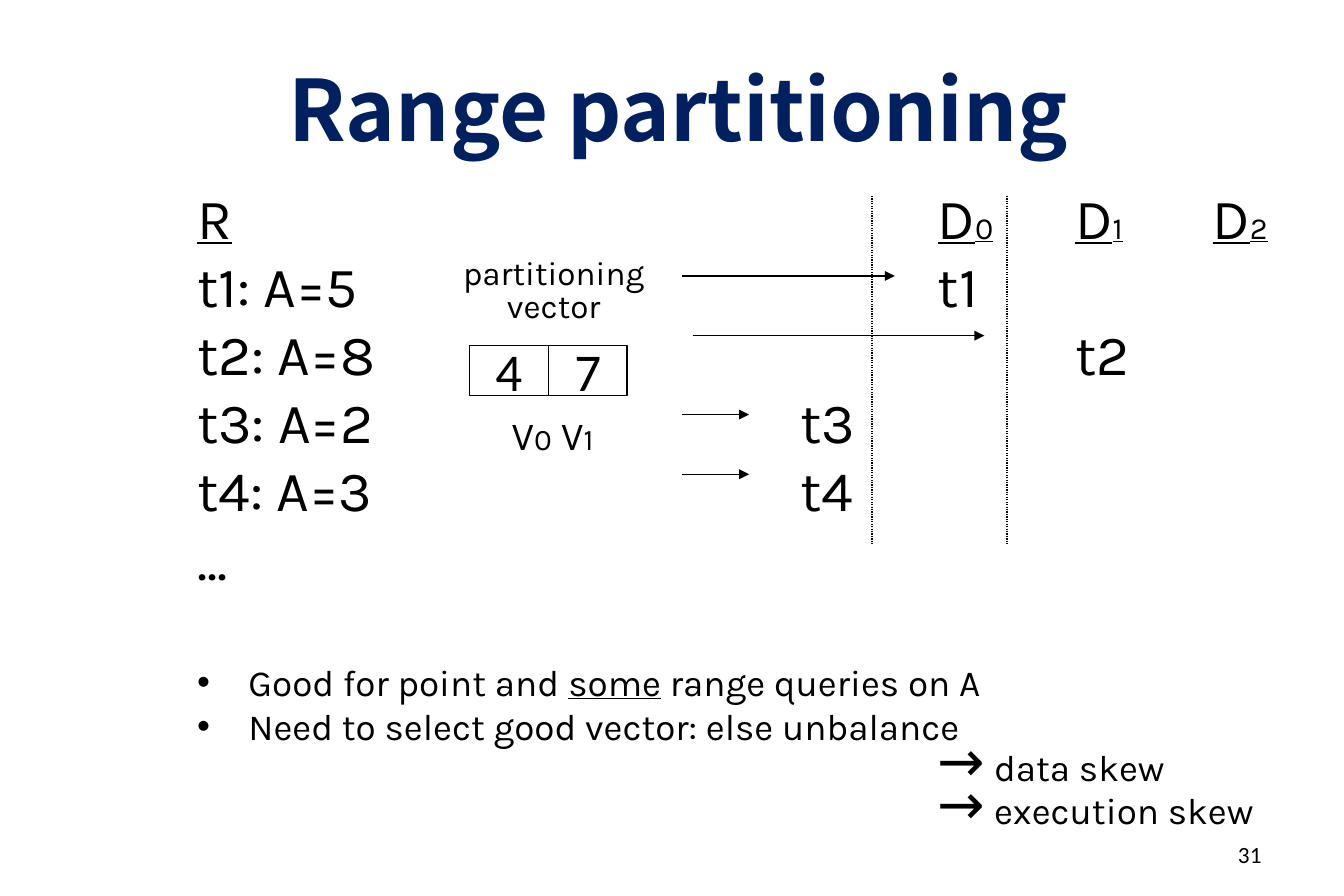
from lxml.etree import SubElement
from pptx import Presentation
from pptx.dml.color import RGBColor
from pptx.enum.dml import MSO_LINE
from pptx.enum.shapes import MSO_CONNECTOR, MSO_SHAPE
from pptx.enum.text import MSO_ANCHOR, PP_ALIGN
from pptx.oxml.ns import qn
from pptx.util import Inches, Pt

COLORS = {"ink": "000000", "title": "002060", "paper": "FFFFFF"}
BIG, SMALL, SUBSCRIPT = 34.2, 22.2, 18.5
BODY_LEFT, BODY_TOP, ROW_HEIGHT = 1.53, 1.47, 0.57
HANGING, DISK_INDENT, DISK_STEP = 0.43, 6.2, 1.15

# Each run is (text, size, underlined)
RELATION = [
    [("R", BIG, True)],
    [("t1: A=5", BIG, False)],
    [("t2: A=8", BIG, False)],
    [("t3: A=2", BIG, False)],
    [("t4: A=3", BIG, False)],
    [("...", BIG, False)],
]
REMARKS = [
    [("Good for point and ", SMALL, False), ("some", SMALL, True),
     (" range queries on A", SMALL, False)],
    [("Need to select good vector: else unbalance", SMALL, False)],
]
# (text, line spacing, space before)
SKEWS = [(" data skew", 0.4, 7), (" execution skew", 0.7, 0)]
# (row, column, runs); column 0 stands under the first disk heading
PLACEMENTS = [
    (0, 0, [("D", BIG, True), ("0", SUBSCRIPT, True)]),
    (0, 1, [("D", BIG, True), ("1", SUBSCRIPT, True)]),
    (0, 2, [("D", BIG, True), ("2", SUBSCRIPT, True)]),
    (1, 0, [("t1", BIG, False)]),
    (2, 1, [("t2", BIG, False)]),
    (3, -1, [("t3", BIG, False)]),
    (4, -1, [("t4", BIG, False)]),
]
VECTOR = ["4", "7"]
VECTOR_LABELS = [("V", 24, False), ("0", 18, False), (" V", 24, False), ("1", 18, False)]
DIVIDERS = [7.3, 8.43]
ARROWS = [(5.71, 7.49, 2.31), (5.8, 8.24, 2.81), (5.71, 6.27, 3.47), (5.71, 6.27, 3.97)]

deck = Presentation()
deck.slide_width, deck.slide_height = Inches(11.25), Inches(7.5)
page = deck.slides.add_slide(deck.slide_layouts[6])


def color(name):
    return RGBColor.from_string(COLORS[name])


def add_box(left, top, width, height, anchor=MSO_ANCHOR.MIDDLE, inset=(0.1, 0.05), wrap=True):
    box = page.shapes.add_textbox(Inches(left), Inches(top), Inches(width), Inches(height))
    frame = box.text_frame
    frame.word_wrap = wrap
    frame.vertical_anchor = anchor
    frame.margin_left = frame.margin_right = Inches(inset[0])
    frame.margin_top = frame.margin_bottom = Inches(inset[1])
    return frame


def style(para, size=None, name="Karla", ink="ink", align=None):
    para.alignment = align
    para.font.name = name
    para.font.color.rgb = color(ink)
    if size:
        para.font.size = Pt(size)


def add_runs(para, runs):
    for text, size, underlined in runs:
        span = para.add_run()
        span.text = text
        span.font.size = Pt(size)
        if underlined:
            span.font.underline = True


def add_body_paragraph(frame, runs, margin=0, bullet=False):
    para = frame.add_paragraph() if frame.paragraphs[0].runs else frame.paragraphs[0]
    properties = para._p.get_or_add_pPr()
    properties.set("marL", str(Inches(margin)))
    if bullet:
        properties.set("indent", str(-Inches(margin)))
        SubElement(properties, qn("a:buFont"), typeface="Arial")
        SubElement(properties, qn("a:buChar"), char="•")
    style(para)
    add_runs(para, runs)
    return para


def add_line(x1, y1, x2, y2):
    line = page.shapes.add_connector(
        MSO_CONNECTOR.STRAIGHT, Inches(x1), Inches(y1), Inches(x2), Inches(y2))
    line.line.color.rgb = color("ink")
    line.line.width = Pt(0.75)
    SubElement(line._element.spPr, qn("a:effectLst"))
    return line


title = add_box(0.9, 0.41, 9.56, 0.98, inset=(0.12, 0.06)).paragraphs[0]
title.text = "Range partitioning"
style(title, 51, "Noto Sans CJK SC", "title", PP_ALIGN.CENTER)
title.font.bold = True

body = add_box(BODY_LEFT, BODY_TOP, 9.56, 5.31, MSO_ANCHOR.TOP, (0.12, 0.06))
for row in RELATION:
    add_body_paragraph(body, row)
for number, remark in enumerate(REMARKS):
    para = add_body_paragraph(body, remark, HANGING, bullet=True)
    if number == 0:
        para.space_before = Pt(41)
for text, spacing, before in SKEWS:
    para = add_body_paragraph(body, [("→", BIG, False), (text, SMALL, False)], DISK_INDENT)
    para.line_spacing = spacing
    para.space_before = Pt(before)

for row, column, runs in PLACEMENTS:
    left = BODY_LEFT + DISK_INDENT + column * DISK_STEP
    frame = add_box(left, BODY_TOP + row * ROW_HEIGHT, 0.9, 0.69,
                    MSO_ANCHOR.TOP, (0.12, 0.06), wrap=False)
    add_body_paragraph(frame, runs).alignment = PP_ALIGN.LEFT

for x in DIVIDERS:
    add_line(x, 1.64, x, 4.56).line.dash_style = MSO_LINE.ROUND_DOT

for index, value in enumerate(VECTOR):
    cell = page.shapes.add_shape(
        MSO_SHAPE.RECTANGLE, Inches(3.93 + index * 0.66), Inches(2.89), Inches(0.66), Inches(0.42))
    cell.shadow.inherit = False
    cell.fill.solid()
    cell.fill.fore_color.rgb = color("paper")
    cell.line.color.rgb = color("ink")
    cell.line.width = Pt(0.75)
    cell.text_frame.word_wrap = False
    cell.text_frame.vertical_anchor = MSO_ANCHOR.MIDDLE
    cell.text_frame.text = value
    style(cell.text_frame.paragraphs[0], 32, "Calibri", align=PP_ALIGN.CENTER)

caption = add_box(3.74, 2.22, 1.79, 0.54)
caption.text = "partitioning\nvector"
for para in caption.paragraphs:
    style(para, 20, align=PP_ALIGN.CENTER)
    para.line_spacing = 0.4
caption.paragraphs[1].space_before = Pt(10)

labels = add_box(4.08, 3.39, 1.09, 0.5, wrap=False).paragraphs[0]
style(labels, align=PP_ALIGN.CENTER)
add_runs(labels, VECTOR_LABELS)

for start, end, y in ARROWS:
    arrow = add_line(start, y, end, y)
    SubElement(arrow.line._get_or_add_ln(), qn("a:tailEnd"), type="triangle")

number = add_box(8.06, 6.95, 2.62, 0.4, inset=(0.12, 0.06)).paragraphs[0]
number.text = "31"
style(number, 14, "Calibri", align=PP_ALIGN.RIGHT)

deck.save("out.pptx")
